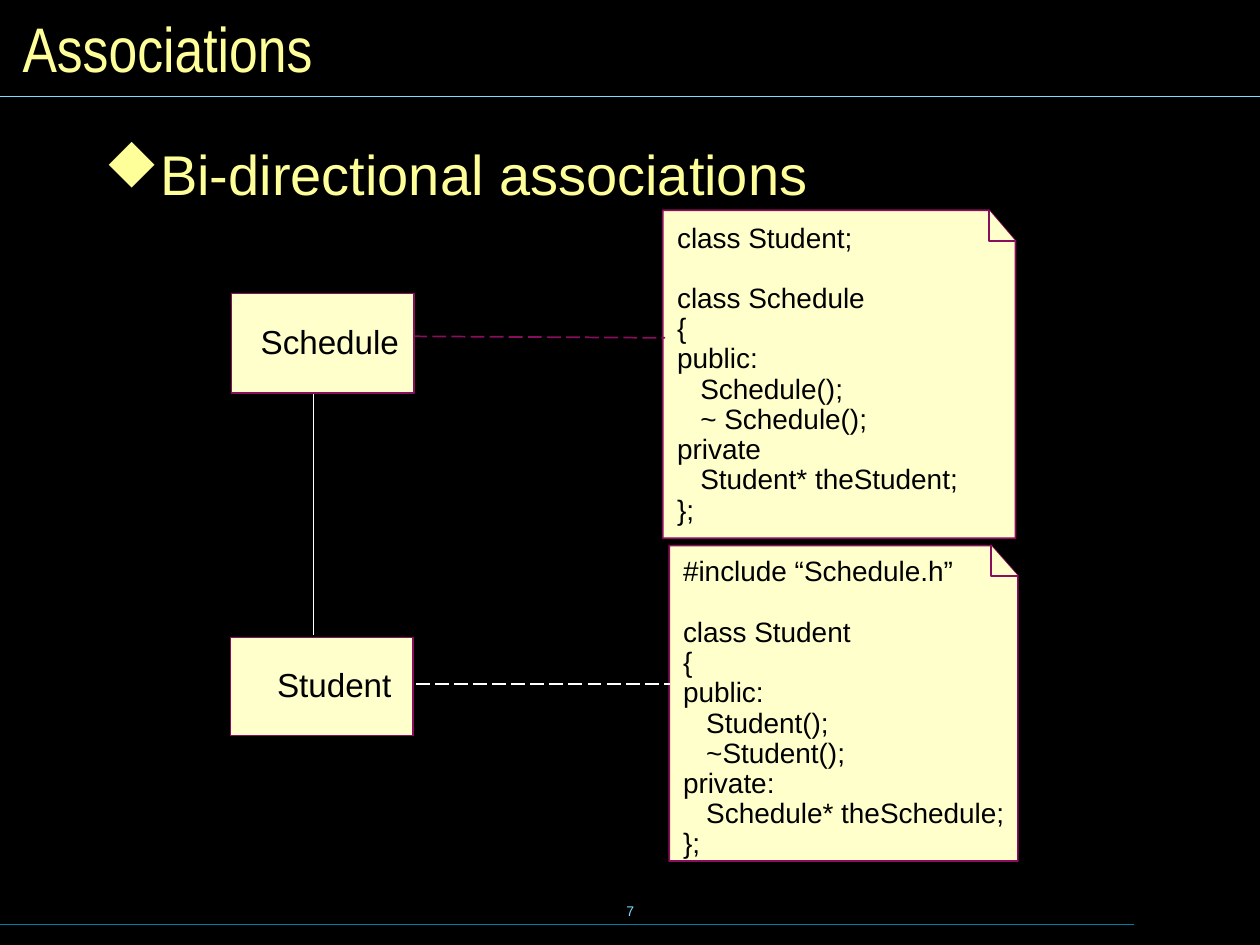
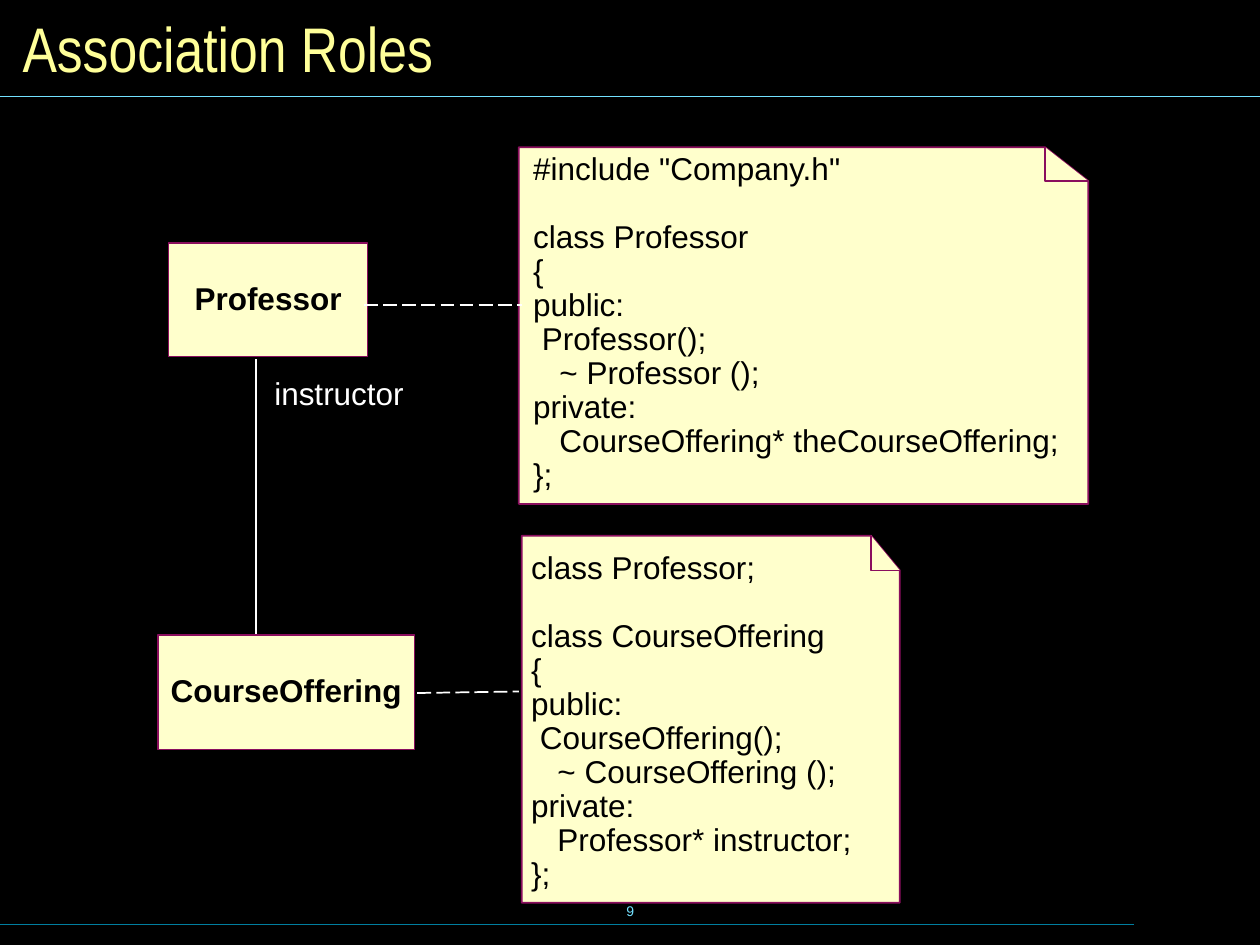
from typing import NamedTuple

from lxml.etree import SubElement
from pptx import Presentation
from pptx.dml.color import RGBColor
from pptx.enum.dml import MSO_LINE as Dash
from pptx.enum.shapes import MSO_CONNECTOR as Link, MSO_SHAPE as Form
from pptx.enum.text import MSO_ANCHOR as Anchor, MSO_AUTO_SIZE as Fit, PP_ALIGN as Align
from pptx.oxml.ns import qn
from pptx.util import Cm, Pt

BLACK = RGBColor(0x00, 0x00, 0x00)
WHITE = RGBColor(0xFF, 0xFF, 0xFF)
CREAM = RGBColor(0xFF, 0xFF, 0xCC)
YELLOW = RGBColor(0xFF, 0xFF, 0x99)
PLUM = RGBColor(0x8A, 0x0E, 0x5E)
CYAN = RGBColor(0x73, 0xE1, 0xFF)
TEAL = RGBColor(0x00, 0x7E, 0x9F)
SANS = "Arial"
NARROW = "Arial Narrow"
SYMBOL = "Wingdings"
DIAMOND = "u"  # a filled diamond in the symbol font
WIDTH, HEIGHT = 25.4, 19.05
TIGHT = 0.9
PITCH = 1.08  # height of one code line, relative to the font size
INSET = 0.25


class Area(NamedTuple):
    left: float
    top: float
    width: float
    height: float

    def lengths(self) -> list[Cm]:
        return [Cm(side) for side in self]


class Box(NamedTuple):
    name: str
    area: Area
    size: int
    bold: bool = False
    shift: float = 0


class Note(NamedTuple):
    area: Area
    fold: tuple[float, float]
    text: Area
    size: int
    code: str


class Line(NamedTuple):
    start: tuple[float, float]
    end: tuple[float, float]
    color: RGBColor = WHITE
    weight: float = 1
    dashed: bool = False


class Page(NamedTuple):
    title: str
    number: str
    boxes: list[Box]
    notes: list[Note]
    lines: list[Line]


RULES = [
    Line((0, 18.63), (22.86, 18.63), TEAL, 0.75),
    Line((0, 1.94), (WIDTH, 1.94), CYAN, 0.75),
]

SCHEDULE = """\
class Student;

class Schedule
{
public:
   Schedule();
   ~ Schedule();
private
   Student* theStudent;
};"""

STUDENT = """\
#include “Schedule.h”

class Student
{
public:
   Student();
   ~Student();
private:
   Schedule* theSchedule;
};"""

PROFESSOR = """\
#include "Company.h"

class Professor
{
public:
 Professor();
   ~ Professor ();
private:
   CourseOffering* theCourseOffering;
};"""

COURSE = """\
class Professor;

class CourseOffering
{
public:
 CourseOffering();
   ~ CourseOffering ();
private:
   Professor* instructor;
};"""

PAGES = [
    Page(
        "Associations", "7",
        [Box("Schedule", Area(4.67, 5.92, 3.68, 2.01), 19, shift=0.14),
         Box("Student", Area(4.65, 12.85, 3.68, 1.98), 19, shift=0.25)],
        [Note(Area(13.49, 11, 7.03, 6.36), (0.54, 0.61),
              Area(13.52, 11.12, 7.4, 6.32), 16, STUDENT),
         Note(Area(13.36, 4.24, 7.11, 6.61), (0.53, 0.62),
              Area(13.4, 4.39, 6.6, 6.32), 16, SCHEDULE)],
        [Line((6.32, 7.95), (6.32, 12.8)),
         Line((8.33, 6.78), (13.41, 6.81), PLUM, dashed=True),
         Line((8.38, 13.79), (13.51, 13.79), dashed=True)],
    ),
    Page(
        "Association Roles", "9",
        [Box("Professor", Area(3.4, 4.9, 4.01, 2.29), 18, True),
         Box("CourseOffering", Area(3.18, 12.8, 5.18, 2.31), 18, True)],
        [Note(Area(10.46, 2.97, 11.48, 7.19), (0.87, 0.68),
              Area(10.5, 2.97, 11.5, 7.09), 18, PROFESSOR),
         Note(Area(10.52, 10.8, 7.62, 7.4), (0.58, 0.7),
              Area(10.46, 11.01, 7.4, 7.09), 18, COURSE)],
        [Line((5.16, 7.24), (5.16, 12.78)),
         Line((8.41, 13.97), (10.46, 13.94), dashed=True),
         Line((7.34, 6.15), (10.52, 6.15), dashed=True)],
    ),
]


def write(para, text: str, size: int, color: RGBColor, face: str = SANS,
          bold: bool = False) -> None:
    run = para.add_run()
    run.text = text
    font = run.font
    font.name, font.size, font.bold = face, Pt(size), bold
    font.color.rgb = color


def add_text(slide, area: Area):
    """Add an empty text box and return its frame."""
    frame = slide.shapes.add_textbox(*area.lengths()).text_frame
    frame.word_wrap = True
    frame.auto_size = Fit.NONE
    return frame


def paint(shape) -> None:
    shape.shadow.inherit = False
    shape.fill.solid()
    shape.fill.fore_color.rgb = CREAM
    shape.line.color.rgb = PLUM
    shape.line.width = Pt(1)


def draw_line(slide, line: Line) -> None:
    ends = [Cm(value) for value in line.start + line.end]
    link = slide.shapes.add_connector(Link.STRAIGHT, *ends)
    link.line.color.rgb = line.color
    link.line.width = Pt(line.weight)
    if line.dashed:
        link.line.dash_style = Dash.LONG_DASH
    SubElement(link.element.spPr, qn("a:effectLst"))


def draw_box(slide, box: Box) -> None:
    shape = slide.shapes.add_shape(Form.RECTANGLE, *box.area.lengths())
    paint(shape)
    frame = shape.text_frame
    frame.word_wrap = False
    frame.vertical_anchor = Anchor.MIDDLE
    frame.margin_left = Cm(INSET + 2 * box.shift)
    para = frame.paragraphs[0]
    para.alignment = Align.CENTER
    para.line_spacing = TIGHT
    write(para, box.name, box.size, BLACK, bold=box.bold)


def draw_path(slide, points: list[tuple[float, float]], close: bool) -> None:
    first, *rest = [(Cm(x), Cm(y)) for x, y in points]
    pen = slide.shapes.build_freeform(*first)
    pen.add_line_segments(rest, close=close)
    paint(pen.convert_to_shape())


def draw_note(slide, note: Note) -> None:
    """Draw a sheet with a folded corner and its code."""
    left, top, width, height = note.area
    right, base = left + width, top + height
    inner, low = right - note.fold[0], top + note.fold[1]
    draw_path(slide, [(right, base), (left, base), (left, top),
                      (inner, top), (right, low)], True)
    draw_path(slide, [(right, low), (inner, low), (inner, top)], False)

    frame = add_text(slide, note.text)
    para, gap = frame.paragraphs[0], 0
    for count, row in enumerate(note.code.splitlines()):
        if not row:
            gap = note.size * PITCH
            continue
        if count:
            para = frame.add_paragraph()
            para.space_before = Pt(gap)
        para.line_spacing = TIGHT
        write(para, row, note.size, BLACK)
        gap = 0


def draw_title(slide, text: str) -> None:
    title = slide.shapes.title
    title.left, title.top, title.width, title.height = Area(0.2, 0.22, 25, 1.47).lengths()
    frame = title.text_frame
    frame.auto_size = Fit.NONE
    frame.vertical_anchor = Anchor.MIDDLE
    para = frame.paragraphs[0]
    para.alignment = Align.LEFT
    write(para, text, 36, YELLOW, NARROW)


def draw_number(slide, text: str) -> None:
    frame = add_text(slide, Area(8.68, 17.73, 8.05, 1.27))
    frame.vertical_anchor = Anchor.MIDDLE
    para = frame.paragraphs[0]
    para.alignment = Align.CENTER
    write(para, text, 8, CYAN)


def draw_topic(slide, text: str) -> None:
    """Add the bulleted heading above the diagram."""
    frame = add_text(slide, Area(1.8, 2.92, 23.57, 14.02))
    frame.margin_left = frame.margin_right = Cm(0.3)
    frame.margin_top = frame.margin_bottom = Cm(0.15)
    para = frame.paragraphs[0]
    para.line_spacing = 0.8
    props = para._p.get_or_add_pPr()
    props.set("marL", str(Cm(0.95)))
    props.set("indent", str(-Cm(0.95)))
    tint = SubElement(props, qn("a:buClr"))
    SubElement(tint, qn("a:srgbClr")).set("val", str(YELLOW))
    face = SubElement(props, qn("a:buFont"))
    face.set("typeface", SYMBOL)
    face.set("charset", "2")
    SubElement(props, qn("a:buChar")).set("char", DIAMOND)
    write(para, text, 32, YELLOW)


def add_page(deck, page: Page):
    slide = deck.slides.add_slide(deck.slide_layouts[5])
    draw_title(slide, page.title)
    draw_number(slide, page.number)
    for line in RULES:
        draw_line(slide, line)
    for box in page.boxes:
        draw_box(slide, box)
    for note in page.notes:
        draw_note(slide, note)
    for line in page.lines:
        draw_line(slide, line)
    return slide


def main() -> None:
    deck = Presentation()
    deck.slide_width, deck.slide_height = Cm(WIDTH), Cm(HEIGHT)
    back = deck.slide_master.background.fill
    back.solid()
    back.fore_color.rgb = BLACK

    both, roles = [add_page(deck, page) for page in PAGES]
    draw_topic(both, "Bi-directional associations")
    label = add_text(roles, Area(5.28, 7.5, 3.5, 0.91)).paragraphs[0]
    label.line_spacing = TIGHT
    write(label, "instructor", 18, WHITE)
    deck.save("out.pptx")


if __name__ == "__main__":
    main()
